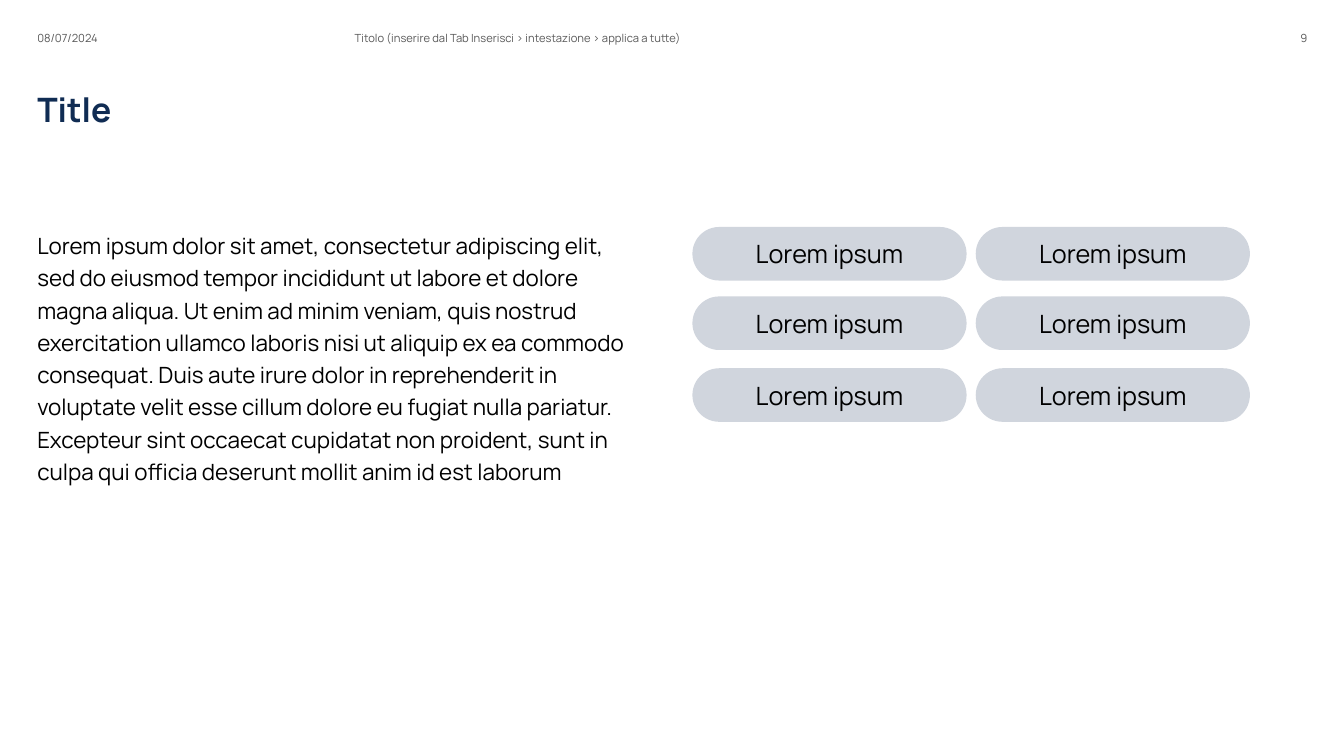
from pptx import Presentation
from pptx.dml.color import RGBColor
from pptx.enum.shapes import MSO_SHAPE as SHAPE
from pptx.enum.text import MSO_ANCHOR as ANCHOR, MSO_AUTO_SIZE as AUTO, PP_ALIGN as ALIGN
from pptx.oxml.ns import qn
from pptx.util import Cm, Pt
from lxml import etree


def rgb(value):
    return RGBColor.from_string(value)


class Deck:
    FONT = "Manrope"
    NAVY, GREY, BLACK, PILL = "102C53", "595959", "000000", "D0D5DD"

    def __init__(self):
        self.prs = Presentation()
        self.prs.slide_width, self.prs.slide_height = Cm(33.87), Cm(19.05)

    def add_slide(self):
        self.s = self.prs.slides.add_slide(self.prs.slide_layouts[1])

    def set_text(self, sp, text, size, color, align=ALIGN.LEFT, anchor=ANCHOR.TOP, bold=False):
        tf = sp.text_frame
        tf.word_wrap = True
        tf.auto_size = AUTO.NONE
        tf.vertical_anchor = anchor
        tf.margin_left = tf.margin_right = tf.margin_top = tf.margin_bottom = 0
        p = tf.paragraphs[0]
        p.alignment = align
        r = p.add_run()
        r.text = text
        r.font.name, r.font.size, r.font.bold = self.FONT, Pt(size), bold
        r.font.color.rgb = rgb(color)
        return p

    def place(self, sp, x, y, w, h):
        sp.left, sp.top, sp.width, sp.height = Cm(x), Cm(y), Cm(w), Cm(h)
        return sp

    def title(self, text, *box):
        sp = self.place(self.s.shapes.title, *box)
        self.set_text(sp, text, 24, self.NAVY, bold=True)

    def body(self, text, *box):
        sp = self.place(self.s.placeholders[1], *box)
        p = self.set_text(sp, text, 16, self.BLACK)
        p.line_spacing, p.space_before = 1.2, Pt(0)
        # Plain paragraph: no bullet, no hanging indent
        pPr = p._p.get_or_add_pPr()
        pPr.set("marL", "0")
        pPr.set("indent", "0")
        etree.SubElement(pPr, qn("a:buNone"))

    def header(self, text, x, w, align=ALIGN.LEFT):
        sp = self.s.shapes.add_textbox(Cm(x), Cm(0.1), Cm(w), Cm(1.02))
        self.set_text(sp, text, 8, self.GREY, align, ANCHOR.BOTTOM)

    def pill(self, text, x, y):
        sp = self.s.shapes.add_shape(SHAPE.ROUNDED_RECTANGLE, Cm(x), Cm(y), Cm(6.91), Cm(1.35))
        sp.adjustments[0] = 0.5
        sp.shadow.inherit = False
        sp.fill.solid()
        sp.fill.fore_color.rgb = rgb(self.PILL)
        sp.line.fill.background()
        self.set_text(sp, text, 18, self.BLACK, ALIGN.CENTER, ANCHOR.MIDDLE)


def main():
    deck = Deck()
    deck.add_slide()

    # Header line
    deck.header("08/07/2024", 0.94, 6.63)
    deck.header("Titolo (inserire dal Tab Inserisci > intestazione > applica a tutte)", 8.94, 11.43)
    deck.header("9", 30.05, 2.9, ALIGN.RIGHT)

    # Title and text
    deck.title("Title", 0.94, 2.24, 32, 2.34)
    deck.body(
        "Lorem ipsum dolor sit amet, consectetur adipiscing elit, sed do eiusmod tempor "
        "incididunt ut labore et dolore magna aliqua. Ut enim ad minim veniam, quis nostrud "
        "exercitation ullamco laboris nisi ut aliquip ex ea commodo consequat. Duis aute irure "
        "dolor in reprehenderit in voluptate velit esse cillum dolore eu fugiat nulla pariatur. "
        "Excepteur sint occaecat cupidatat non proident, sunt in culpa qui officia deserunt "
        "mollit anim id est laborum",
        0.94, 5.72, 14.81, 12.29)

    # Grid of pills
    for x in (17.45, 24.59):
        for y in (5.72, 7.47, 9.28):
            deck.pill("Lorem ipsum", x, y)

    deck.prs.save("out.pptx")


if __name__ == "__main__":
    main()
